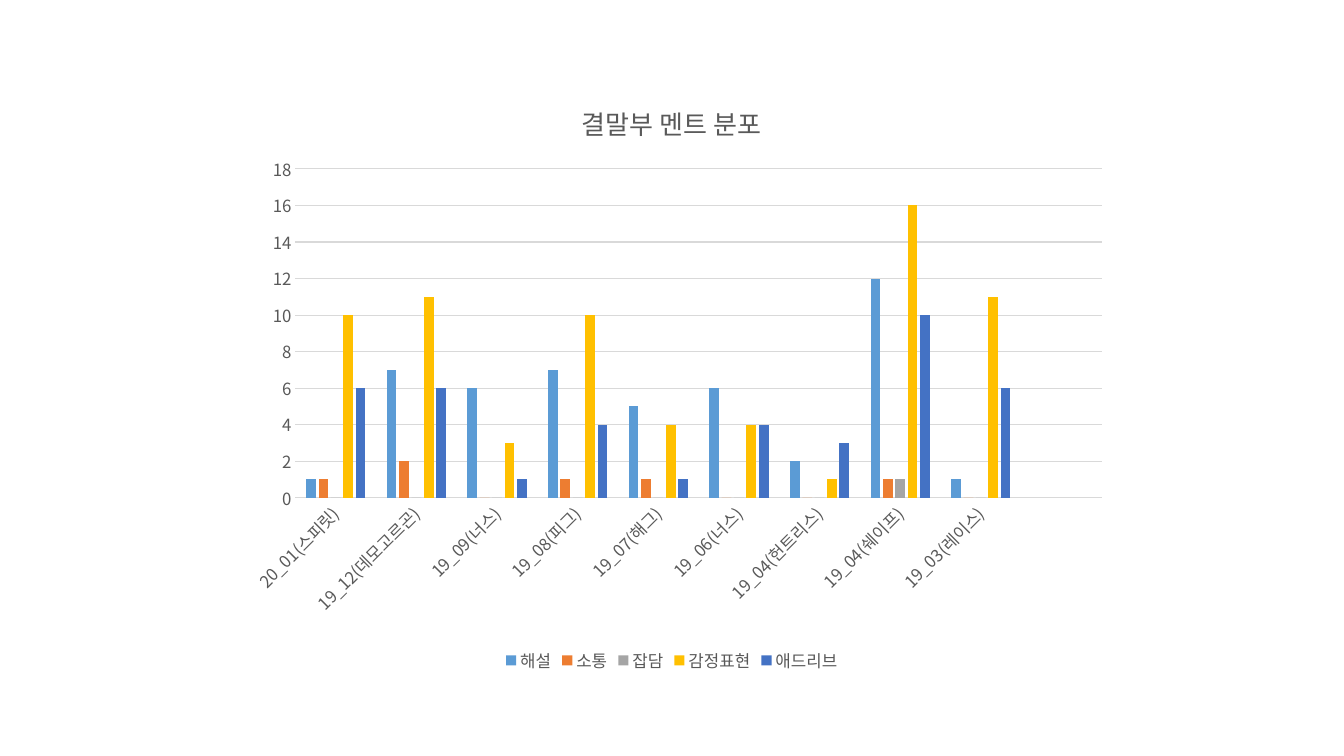
from dataclasses import dataclass

from lxml.etree import SubElement
from pptx import Presentation
from pptx.chart.chart import Chart
from pptx.chart.data import CategoryChartData as ChartData
from pptx.dml.color import RGBColor
from pptx.enum.chart import XL_CHART_TYPE as Kind
from pptx.enum.chart import XL_LEGEND_POSITION as Place
from pptx.enum.chart import XL_TICK_MARK as Tick
from pptx.oxml import parse_xml
from pptx.oxml.ns import nsdecls, qn
from pptx.text.text import Font
from pptx.util import Cm, Pt

FACE = "Noto Sans CJK KR"
GRAY = RGBColor(0x59, 0x59, 0x59)
PALE = RGBColor(0xD9, 0xD9, 0xD9)
BLUE = RGBColor(0x5B, 0x9B, 0xD5)
ORANGE = RGBColor(0xED, 0x7D, 0x31)
SILVER = RGBColor(0xA5, 0xA5, 0xA5)
GOLD = RGBColor(0xFF, 0xC0, 0x00)
NAVY = RGBColor(0x44, 0x72, 0xC4)


@dataclass
class Talk:
    name: str
    counts: list[int]
    color: RGBColor


GAMES = ["20_01(스피릿)", "19_12(데모고르곤)", "19_09(너스)", "19_08(피그)",
         "19_07(해그)", "19_06(너스)", "19_04(헌트리스)", "19_04(쉐이프)",
         "19_03(레이스)", ""]
TALKS = [
    Talk("해설", [1, 7, 6, 7, 5, 6, 2, 12, 1], BLUE),
    Talk("소통", [1, 2, 0, 1, 1, 0, 0, 1, 0], ORANGE),
    Talk("잡담", [0, 0, 0, 0, 0, 0, 0, 1, 0], SILVER),
    Talk("감정표현", [10, 11, 3, 10, 4, 4, 1, 16, 11], GOLD),
    Talk("애드리브", [6, 6, 1, 4, 1, 4, 3, 10, 6], NAVY),
]


def set_font(font: Font, size: float) -> None:
    font.name = FACE
    font.size = Pt(size)
    font.bold = False
    font.color.rgb = GRAY


def set_title(chart: Chart, text: str) -> None:
    frame = chart.chart_title.text_frame
    frame.text = text
    set_font(frame.paragraphs[0].runs[0].font, 18.6)


def set_axes(chart: Chart) -> None:
    for axis in (chart.category_axis, chart.value_axis):
        axis.major_tick_mark = axis.minor_tick_mark = Tick.NONE
        set_font(axis.tick_labels.font, 12)
    games, scale = chart.category_axis, chart.value_axis
    scale.minimum_scale, scale.maximum_scale, scale.major_unit = 0, 18, 2
    scale.format.line.fill.background()
    scale.has_major_gridlines = True
    for line in (games.format.line, scale.major_gridlines.format.line):
        line.color.rgb = PALE
        line.width = Pt(0.75)
    steps = "/".join(map(qn, ("c:catAx", "c:txPr", "a:bodyPr")))
    body = chart.element.find(f".//{steps}")
    body.set("rot", "-2700000")
    body.set("vert", "horz")


def set_bars(chart: Chart) -> None:
    plot = chart.plots[0]
    plot.gap_width, plot.overlap = 219, -27
    plot.vary_by_categories = False
    for bars, talk in zip(plot.series, TALKS):
        bars.invert_if_negative = False
        bars.format.fill.solid()
        bars.format.fill.fore_color.rgb = talk.color


def set_plot(chart: Chart, **box: float) -> None:
    """Place the inner plot area by fractions of the chart's size."""
    area = chart.element.find(f".//{qn('c:plotArea')}")
    for old in area.findall(qn("c:layout")):
        area.remove(old)
    layout = parse_xml(f"<c:layout {nsdecls('c')}><c:manualLayout/></c:layout>")
    rules = {"layoutTarget": "inner", "xMode": "edge", "yMode": "edge", **box}
    for tag, val in rules.items():
        SubElement(layout[0], qn(f"c:{tag}")).set("val", str(val))
    area.insert(0, layout)


def set_asian(chart: Chart) -> None:
    """Use each Latin typeface for Korean text too."""
    for latin in list(chart.element.iter(qn("a:latin"))):
        latin.addnext(parse_xml(f'<a:ea {nsdecls("a")} typeface="{FACE}"/>'))


def main() -> None:
    deck = Presentation()
    deck.slide_width, deck.slide_height = Cm(33.87), Cm(19.05)
    slide = deck.slides.add_slide(deck.slide_layouts[6])
    data = ChartData()
    data.categories = GAMES
    for talk in TALKS:
        data.add_series(talk.name, [*talk.counts, None])
    chart = slide.shapes.add_chart(
        Kind.COLUMN_CLUSTERED, Cm(5.64), Cm(2), Cm(22.58), Cm(15.06), data).chart
    set_font(chart.font, 10)
    set_title(chart, "결말부 멘트 분포")
    set_axes(chart)
    set_bars(chart)
    set_plot(chart, x=0.08, y=0.15, w=0.9, h=0.55)
    chart.has_legend = True
    chart.legend.position = Place.BOTTOM
    chart.legend.include_in_layout = False
    set_font(chart.legend.font, 12)
    set_asian(chart)
    deck.save("out.pptx")


if __name__ == "__main__":
    main()
